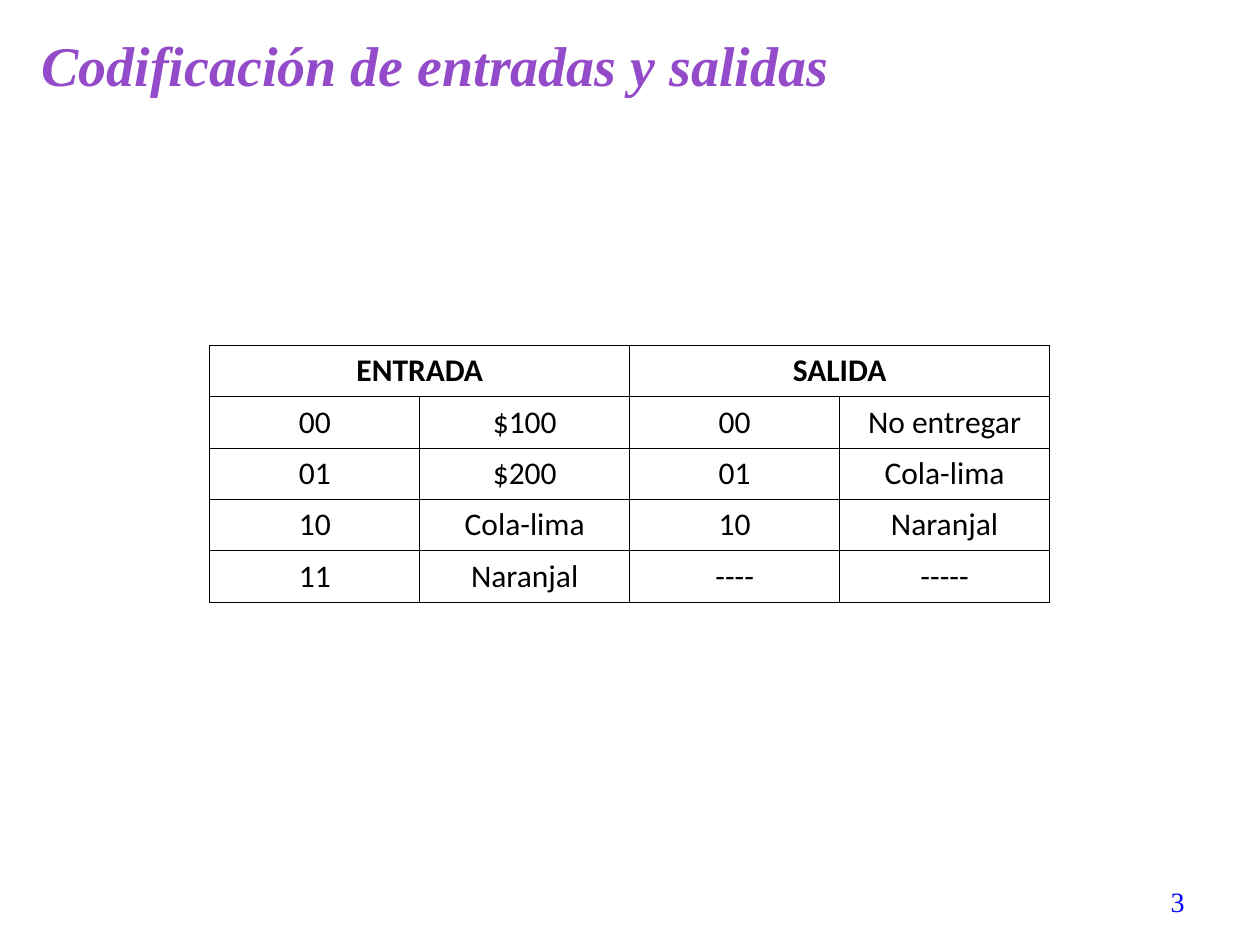
import dataclasses

import lxml.etree
import pptx
import pptx.dml.color
import pptx.enum.text
import pptx.oxml.ns
import pptx.shapes.base
import pptx.table
import pptx.text.text
import pptx.util

Cm = pptx.util.Cm
Align = pptx.enum.text.PP_ALIGN

COLORS = {
    "title": "934BC9",
    "number": "0000FF",
    "text": "000000",
    "border": "000000",
    "cell": "FFFFFF",
}
SERIF = "Times New Roman"
SANS = "Calibri"
BORDER_WIDTH = pptx.util.Pt(0.45)


@dataclasses.dataclass(frozen=True)
class Box:
    """Position and size in centimetres."""

    left: float
    top: float
    width: float
    height: float


@dataclasses.dataclass(frozen=True)
class CodeGroup:
    """A heading over pairs of code and meaning."""

    heading: str
    rows: tuple[tuple[str, str], ...]


TITLE_BOX = Box(0.58, 0.4, 21.6, 1.78)
TABLE_BOX = Box(4.23, 6.96, 16.93, 5.18)
NUMBER_BOX = Box(18.2, 17.65, 5.93, 1.02)

GROUPS = (
    CodeGroup("ENTRADA", (("00", "$100"), ("01", "$200"),
                          ("10", "Cola-lima"), ("11", "Naranjal"))),
    CodeGroup("SALIDA", (("00", "No entregar"), ("01", "Cola-lima"),
                         ("10", "Naranjal"), ("----", "-----"))),
)


def write_text(frame: pptx.text.text.TextFrame, text: str, *, font: str, size: float,
               color: str, align: Align, bold: bool = False, italic: bool = False) -> None:
    frame.word_wrap = True
    frame.text = text
    paragraph = frame.paragraphs[0]
    paragraph.alignment = align
    run_font = paragraph.runs[0].font
    run_font.name = font
    run_font.size = pptx.util.Pt(size)
    run_font.bold = bold
    run_font.italic = italic
    run_font.color.rgb = pptx.dml.color.RGBColor.from_string(COLORS[color])


def place(shape: pptx.shapes.base.BaseShape, box: Box) -> None:
    shape.left, shape.top = Cm(box.left), Cm(box.top)
    shape.width, shape.height = Cm(box.width), Cm(box.height)


def format_cell(cell: pptx.table._Cell) -> None:
    """Give the cell a plain fill and a thin border on every side."""
    qn = pptx.oxml.ns.qn
    cell.vertical_anchor = pptx.enum.text.MSO_ANCHOR.MIDDLE
    cell.margin_left = cell.margin_right = Cm(0.25)
    cell.margin_top = cell.margin_bottom = Cm(0.13)
    cell.fill.solid()
    cell.fill.fore_color.rgb = pptx.dml.color.RGBColor.from_string(COLORS["cell"])
    properties = cell._tc.get_or_add_tcPr()
    for index, side in enumerate(("a:lnL", "a:lnR", "a:lnT", "a:lnB")):
        line = lxml.etree.Element(qn(side), w=str(int(BORDER_WIDTH)))
        fill = lxml.etree.SubElement(line, qn("a:solidFill"))
        lxml.etree.SubElement(fill, qn("a:srgbClr"), val=COLORS["border"])
        properties.insert(index, line)


def add_code_table(slide: pptx.slide.Slide, groups: tuple[CodeGroup, ...], box: Box) -> None:
    row_count = 1 + max(len(group.rows) for group in groups)
    column_count = 2 * len(groups)
    table = slide.shapes.add_table(row_count, column_count, Cm(box.left), Cm(box.top),
                                   Cm(box.width), Cm(box.height)).table
    table.first_row = table.horz_banding = False
    for cell in table.iter_cells():
        format_cell(cell)
    style = {"font": SANS, "size": 18, "color": "text", "align": Align.CENTER}
    for group_index, group in enumerate(groups):
        first = 2 * group_index
        heading = table.cell(0, first)
        heading.merge(table.cell(0, first + 1))
        write_text(heading.text_frame, group.heading, bold=True, **style)
        for row, values in enumerate(group.rows, start=1):
            for offset, value in enumerate(values):
                write_text(table.cell(row, first + offset).text_frame, value, **style)


def main() -> None:
    presentation = pptx.Presentation()
    presentation.slide_width, presentation.slide_height = Cm(25.4), Cm(19.05)
    slide = presentation.slides.add_slide(presentation.slide_layouts.get_by_name("Title Only"))

    title = slide.shapes.title
    place(title, TITLE_BOX)
    title.text_frame.auto_size = pptx.enum.text.MSO_AUTO_SIZE.NONE
    title.text_frame.vertical_anchor = pptx.enum.text.MSO_ANCHOR.MIDDLE
    write_text(title.text_frame, "Codificación de entradas y salidas", font=SERIF, size=32,
               color="title", align=Align.LEFT, bold=True, italic=True)

    add_code_table(slide, GROUPS, TABLE_BOX)

    number = slide.shapes.add_textbox(0, 0, 0, 0)
    place(number, NUMBER_BOX)
    number.text_frame.vertical_anchor = pptx.enum.text.MSO_ANCHOR.MIDDLE
    write_text(number.text_frame, "3", font=SERIF, size=16, color="number", align=Align.RIGHT)

    presentation.save("out.pptx")


if __name__ == "__main__":
    main()
